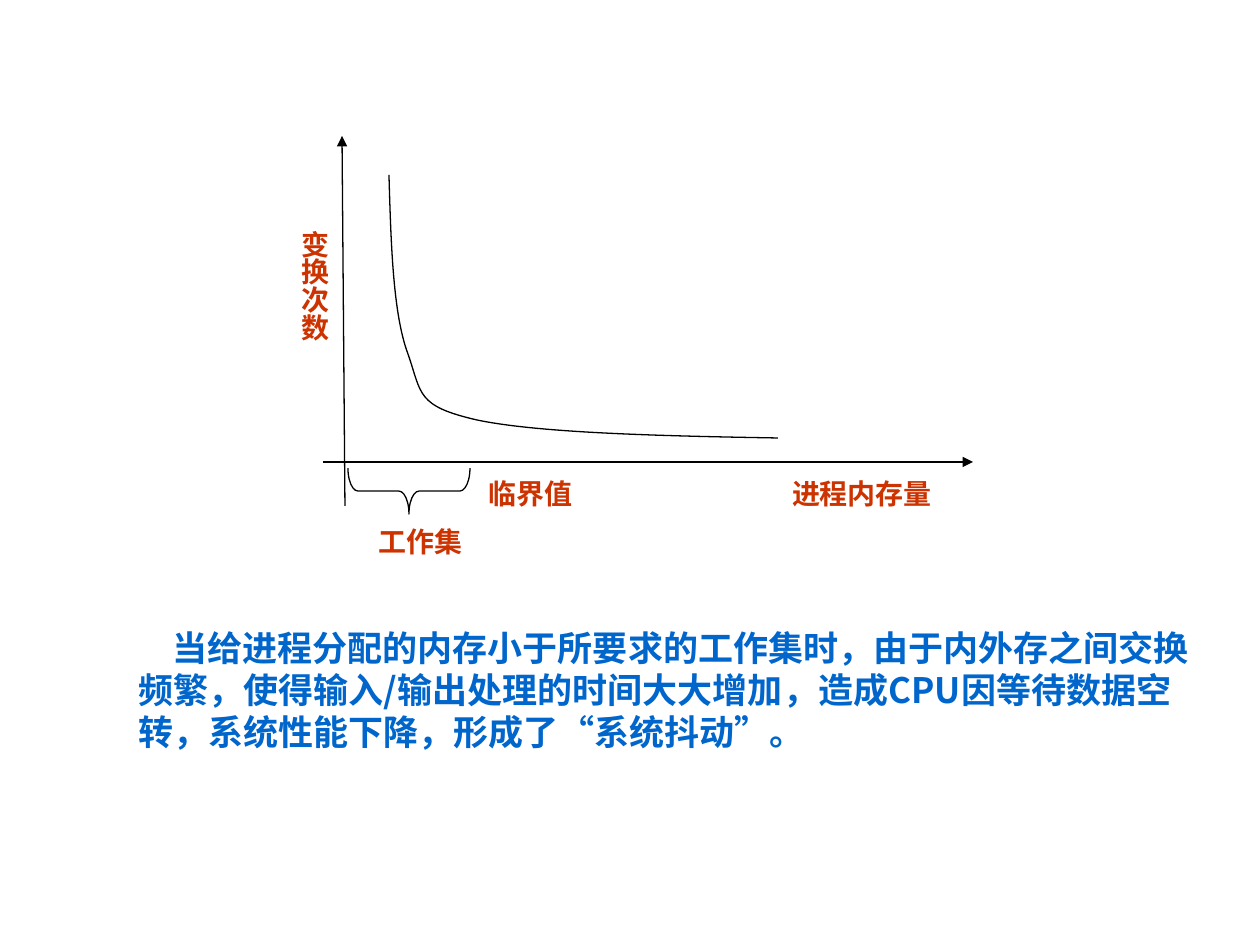
from lxml.etree import SubElement
from pptx import Presentation
from pptx.dml.color import RGBColor
from pptx.enum.shapes import MSO_CONNECTOR, MSO_SHAPE
from pptx.enum.text import PP_ALIGN
from pptx.oxml.ns import qn
from pptx.util import Emu, Pt

SCALE = 914400 / 126
BLACK, RED, BLUE = "000000", "CC3300", "0066CC"
LATIN, CHINESE = "Times New Roman", "Noto Sans CJK SC"


def px(value):
    return Emu(round(value * SCALE))


def color(value):
    return RGBColor.from_string(value)


def style_line(shape):
    shape.line.color.rgb = color(BLACK)
    shape.line.width = Pt(0.75)


def style_paragraph(paragraph, size, hex_color, latin):
    font = paragraph.font
    font.size = Pt(size)
    font.bold = True
    font.color.rgb = color(hex_color)
    font.name = latin
    defaults = paragraph._p.pPr.find(qn("a:defRPr"))
    SubElement(defaults, qn("a:ea"), typeface=CHINESE)


def add_axis(shapes, start, end):
    axis = shapes.add_connector(MSO_CONNECTOR.STRAIGHT, *map(px, start + end))
    style_line(axis)
    SubElement(axis.line._get_or_add_ln(), qn("a:tailEnd"), type="triangle")
    SubElement(axis._element.spPr, qn("a:effectLst"))


def add_label(shapes, box, text, vertical=False):
    frame = shapes.add_textbox(*map(px, box)).text_frame
    frame.word_wrap = True
    if vertical:
        frame._txBody.bodyPr.set("vert", "eaVert")
    else:
        frame.margin_left = frame.margin_right = px(1)
        frame.margin_top = frame.margin_bottom = 0
    paragraph = frame.paragraphs[0]
    paragraph.text = text
    paragraph.alignment = PP_ALIGN.JUSTIFY
    style_paragraph(paragraph, 16, RED, LATIN)


def add_curve(shapes, start, points):
    builder = shapes.build_freeform(*start, scale=SCALE)
    builder.add_line_segments(points, close=False)
    curve = builder.convert_to_shape()
    curve.shadow.inherit = False
    curve.fill.background()
    style_line(curve)
    outline = curve._element.spPr.find(".//" + qn("a:path"))
    segments = outline.findall(qn("a:lnTo"))
    for index in range(0, len(segments), 3):
        bezier = SubElement(outline, qn("a:cubicBezTo"))
        for segment in segments[index:index + 3]:
            bezier.append(segment[0])
            outline.remove(segment)


def add_brace(shapes, left, top, width, height):
    shift = (width - height) / 2
    brace = shapes.add_shape(MSO_SHAPE.LEFT_BRACE, px(left + shift),
                             px(top - shift), px(height), px(width))
    brace.rotation = 270
    brace.adjustments[0] = 0.22
    brace.shadow.inherit = False
    brace.fill.background()
    style_line(brace)


def add_diagram(slide, left, top):
    shapes = slide.shapes.add_group_shape().shapes

    def at(x, y):
        return left + x, top + y

    add_axis(shapes, at(93, 326), at(743, 326))
    add_axis(shapes, at(115, 370), at(112, 0))
    add_label(shapes, (*at(258, 340), 110, 59), "临界值")
    add_label(shapes, (*at(561, 340), 185, 59), "进程内存量")
    add_brace(shapes, *at(118, 332), 122, 46)
    add_label(shapes, (*at(0, 82), 107, 150), "变换次数", vertical=True)
    controls = [(161, 107), (163, 178), (178, 218), (192, 258), (186, 270),
                (247, 284), (309, 297), (429, 300), (548, 302)]
    add_curve(shapes, at(159, 39), [at(*point) for point in controls])
    add_label(shapes, (*at(148, 389), 147, 32), "工作集")


def add_explanation(slide, left, top, width, height):
    frame = slide.shapes.add_textbox(*map(px, (left, top, width, height))).text_frame
    frame.word_wrap = True
    paragraph = frame.paragraphs[0]
    paragraph._p.get_or_add_pPr().set("indent", str(px(34)))
    paragraph.line_spacing = Pt(24)
    style_paragraph(paragraph, 20, BLUE, CHINESE)
    paragraph.add_run().text = (
        "当给进程分配的内存小于所要求的工作集时，由于内外存之间交换频繁，"
        "使得输入/输出处理的时间大大增加，造成CPU因等待数据空转，"
        "系统性能下降，形成了“系统抖动”。")


def main():
    presentation = Presentation()
    presentation.slide_width = px(1260)
    presentation.slide_height = px(945)
    slide = presentation.slides.add_slide(presentation.slide_layouts[6])
    add_diagram(slide, 230, 136)
    add_explanation(slide, 126, 620, 1081, 180)
    presentation.save("out.pptx")


if __name__ == "__main__":
    main()
